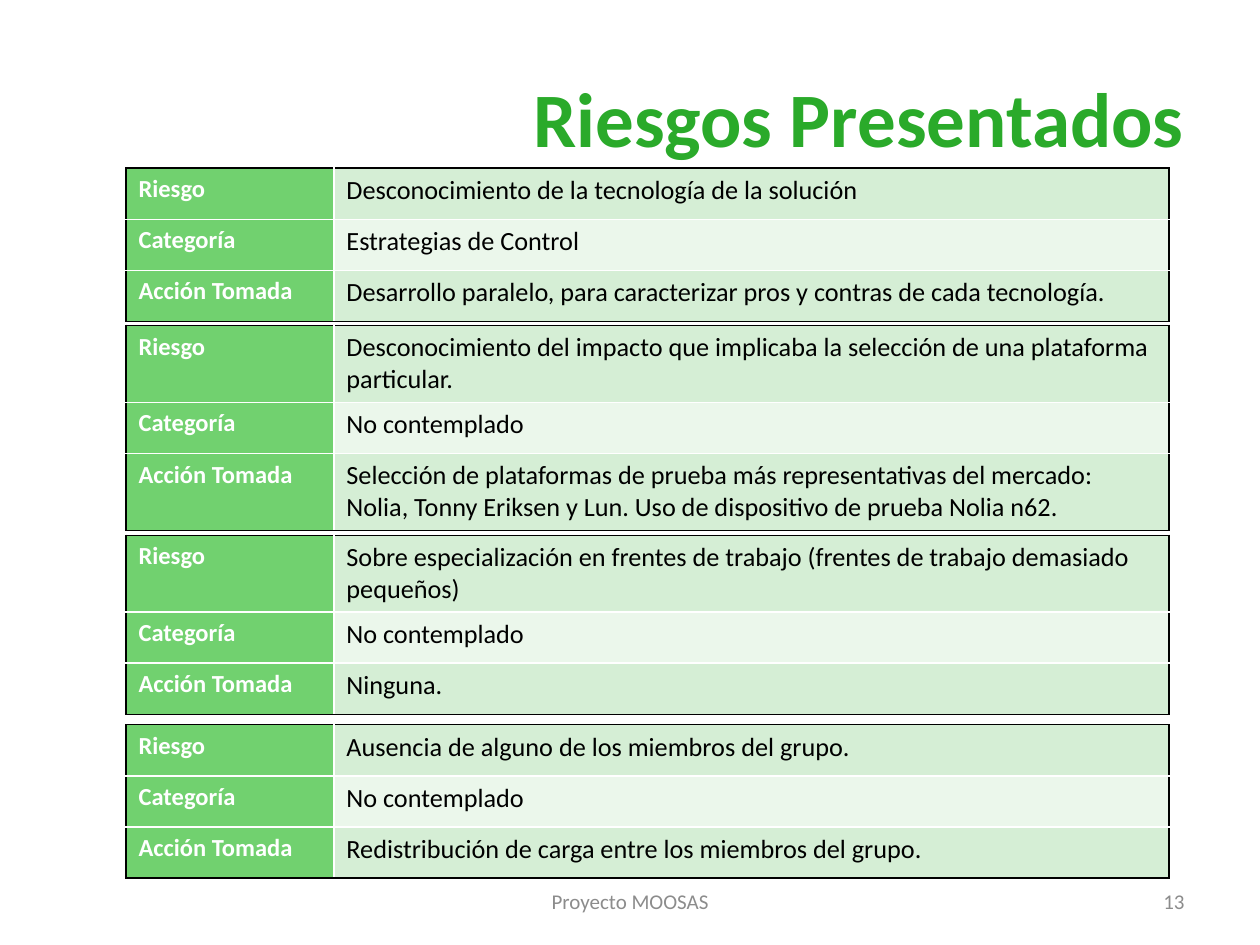
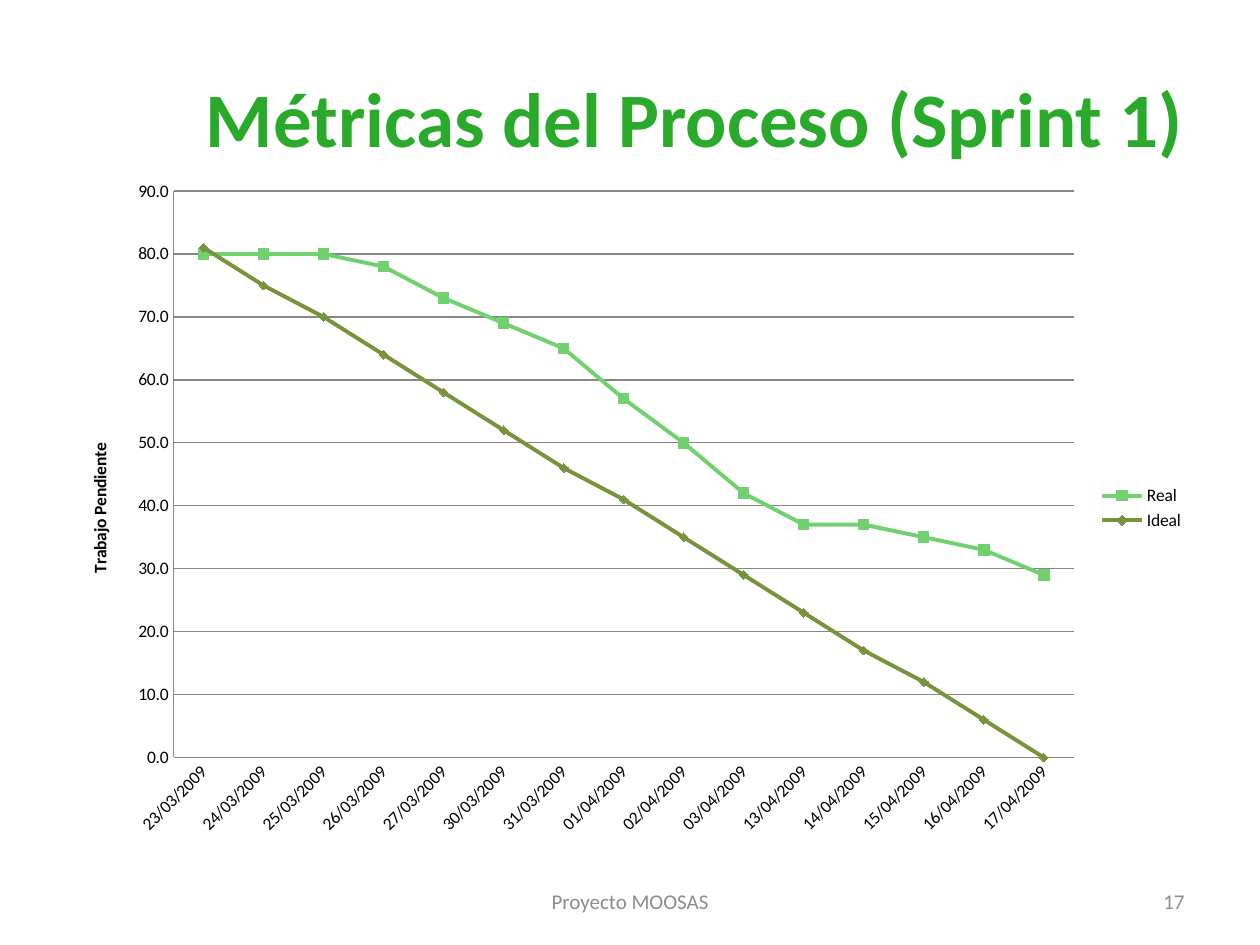
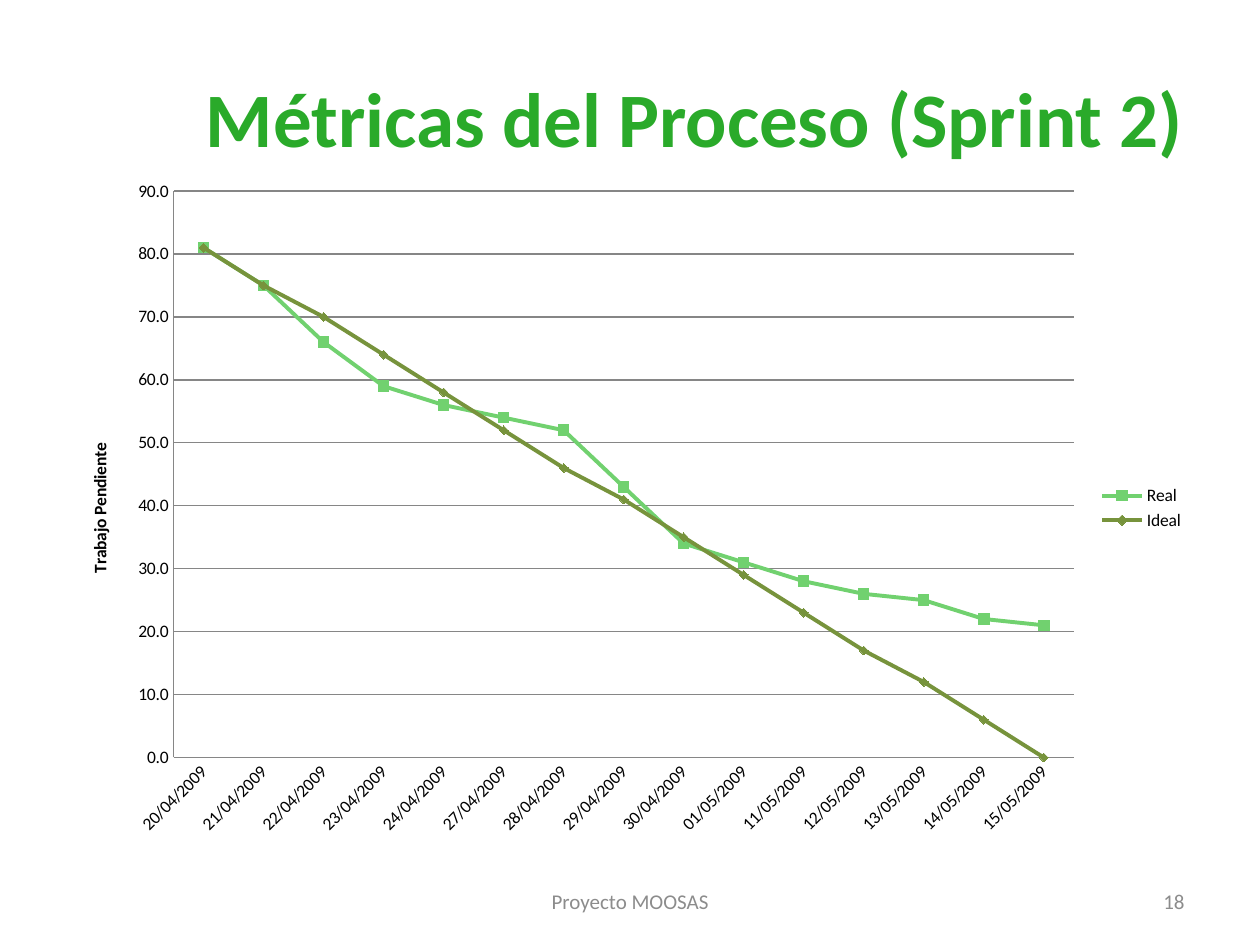
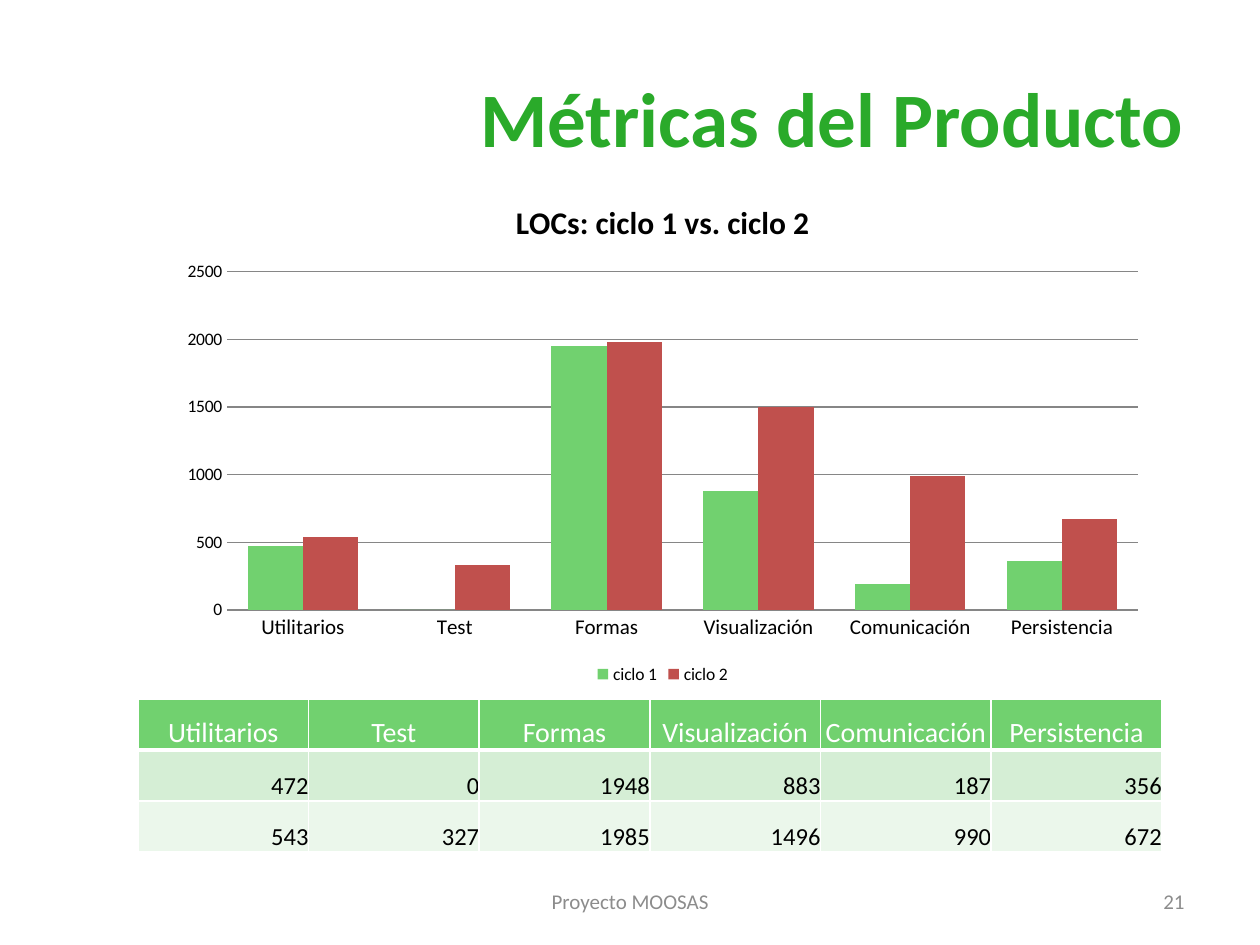
from dataclasses import dataclass

from pptx import Presentation
from pptx.chart.data import CategoryChartData as ChartData
from pptx.dml.color import RGBColor
from pptx.enum.chart import XL_CHART_TYPE as ChartType
from pptx.enum.chart import XL_LEGEND_POSITION as LegendPosition
from pptx.enum.chart import XL_MARKER_STYLE as Marker
from pptx.enum.chart import XL_TICK_MARK as Tick
from pptx.enum.text import MSO_ANCHOR as Anchor
from pptx.enum.text import PP_ALIGN as Align
from pptx.oxml import parse_xml
from pptx.oxml.ns import nsdecls, qn
from pptx.util import Cm, Pt


@dataclass(frozen=True)
class Theme:
    font: str = "Calibri"
    title: str = "2AAA2A"
    footer: str = "8C8C8C"
    green: str = "71D16F"
    olive: str = "77933C"
    red: str = "C0504D"
    bands: tuple = ("D5EED5", "EBF7EB")
    grid: str = "868686"
    black: str = "000000"
    white: str = "FFFFFF"
    title_size: int = 44
    chart_title_size: int = 18
    header_size: int = 16
    body_size: int = 15
    label_size: int = 14
    small_size: int = 12
    chart_size: int = 10


THEME = Theme()
FOOTER = "Proyecto MOOSAS"

RISK_TITLE = "Riesgos Presentados"
RISK_LABELS = ("Riesgo", "Categoría", "Acción Tomada")
RISKS = [
    (3.39, (1.03, 1.03, 1.03), (
        "Desconocimiento de la tecnología de la solución",
        "Estrategias de Control",
        "Desarrollo paralelo, para caracterizar pros y contras de cada tecnología.")),
    (6.56, (1.55, 1.03, 1.55), (
        "Desconocimiento del impacto que implicaba la selección de una plataforma particular.",
        "No contemplado",
        "Selección de plataformas de prueba más representativas del mercado: "
        "Nolia, Tonny Eriksen y Lun. Uso de dispositivo de prueba Nolia n62.")),
    (10.79, (1.55, 1.03, 1.03), (
        "Sobre especialización en frentes de trabajo (frentes de trabajo demasiado pequeños)",
        "No contemplado",
        "Ninguna.")),
    (14.61, (1.03, 1.03, 1.03), (
        "Ausencia de alguno de los miembros del grupo.",
        "No contemplado",
        "Redistribución de carga entre los miembros del grupo.")),
]

DATE_FORMAT = "dd/mm/yyyy"
WORK_DAYS = 5
IDEAL_PACE = 5.8
SPRINTS = [
    ("Métricas del Proceso (Sprint 1)", 17, (39895, 39902, 39916),
     (80, 80, 80, 78, 73, 69, 65, 57, 50, 42, 37, 37, 35, 33, 29)),
    ("Métricas del Proceso (Sprint 2)", 18, (39923, 39930, 39944),
     (81, 75, 66, 59, 56, 54, 52, 43, 34, 31, 28, 26, 25, 22, 21)),
]

PRODUCT_TITLE = "Métricas del Producto"
LOC_TITLE = "LOCs: ciclo 1 vs. ciclo 2"
MODULES = ("Utilitarios", "Test", "Formas", "Visualización", "Comunicación", "Persistencia")
CYCLES = {
    "ciclo 1": (472, 0, 1948, 883, 187, 356),
    "ciclo 2": (543, 327, 1985, 1496, 990, 672),
}


def rgb(color):
    return RGBColor.from_string(color)


def set_font(font, size, color=THEME.black, bold=False):
    font.name = THEME.font
    font.size = Pt(size)
    font.bold = bold
    font.color.rgb = rgb(color)


def write(frame, text, size, color=THEME.black, bold=False, align=Align.LEFT):
    para = frame.paragraphs[0]
    para.alignment = align
    span = para.add_run()
    span.text = text
    set_font(span.font, size, color, bold)


def add_text(page, text, at, **look):
    box = page.shapes.add_textbox(*map(Cm, at))
    box.text_frame.word_wrap = True
    box.text_frame.vertical_anchor = Anchor.MIDDLE
    write(box.text_frame, text, **look)


def add_page(deck, title, number):
    page = deck.slides.add_slide(deck.slide_layouts[6])
    footer = {"size": THEME.small_size, "color": THEME.footer}
    add_text(page, title, (1.27, 0.76, 22.86, 3.18), size=THEME.title_size,
             color=THEME.title, bold=True, align=Align.RIGHT)
    add_text(page, FOOTER, (8.68, 17.65, 8.05, 1.02), align=Align.CENTER, **footer)
    add_text(page, str(number), (18.2, 17.65, 5.93, 1.02), align=Align.RIGHT, **footer)
    return page


def set_borders(cell, borders):
    properties = cell._tc.get_or_add_tcPr()
    for side, (color, width) in zip("LRTB", borders):
        properties.append(parse_xml(
            f'<a:ln{side} {nsdecls("a")} w="{Pt(width)}"><a:solidFill>'
            f'<a:srgbClr val="{color}"/></a:solidFill></a:ln{side}>'))


def add_grid(page, rows, left, top, widths, heights, look, outline, header_rule=1):
    row_count, column_count = len(rows), len(widths)
    frame = page.shapes.add_table(row_count, column_count, Cm(left), Cm(top),
                                  Cm(sum(widths)), Cm(sum(heights)))
    table = frame.table
    table.first_row = table.horz_banding = False
    for column, width in zip(table.columns, widths):
        column.width = Cm(width)
    for row, height in zip(table.rows, heights):
        row.height = Cm(height)
    edge, inner, rule = (outline, 1), (THEME.white, 1), (THEME.white, header_rule)
    for i, texts in enumerate(rows):
        for j, text in enumerate(texts):
            cell = table.cell(i, j)
            set_borders(cell, (
                edge if j == 0 else inner,
                edge if j == column_count - 1 else inner,
                edge if i == 0 else rule if i == 1 else inner,
                edge if i == row_count - 1 else rule if i == 0 else inner))
            fill, text_look = look(i, j)
            cell.fill.solid()
            cell.fill.fore_color.rgb = rgb(fill)
            write(cell.text_frame, str(text), **text_look)
    return table


def risk_look(i, j):
    if j == 0:
        return THEME.green, {"size": THEME.label_size, "color": THEME.white, "bold": True}
    return THEME.bands[i % 2], {"size": THEME.body_size}


def loc_look(i, j):
    if i == 0:
        return THEME.green, {"size": THEME.header_size, "color": THEME.white,
                             "align": Align.CENTER}
    return THEME.bands[(i - 1) % 2], {"size": THEME.label_size, "align": Align.RIGHT}


def set_line(line, color, width=0.75):
    line.color.rgb = rgb(color)
    line.width = Pt(width)


def set_format(labels, number_format):
    labels.number_format = number_format
    labels.number_format_is_linked = False


def add_chart(page, kind, at, categories, series, number_format, top, step, legend,
              category_format="General"):
    data = ChartData(number_format=number_format)
    data.categories = categories
    data.categories.number_format = category_format
    for name, values in series.items():
        data.add_series(name, values)
    chart = page.shapes.add_chart(kind, *map(Cm, at), data).chart
    set_font(chart.font, THEME.chart_size)
    chart.has_title = False
    chart.has_legend = True
    chart.legend.position = legend
    chart.legend.include_in_layout = False
    chart.plots[0].vary_by_categories = False
    values_axis = chart.value_axis
    values_axis.minimum_scale, values_axis.maximum_scale = 0, top
    values_axis.major_unit = step
    set_format(values_axis.tick_labels, number_format)
    set_format(chart.category_axis.tick_labels, category_format)
    set_line(values_axis.major_gridlines.format.line, THEME.grid)
    for axis in (values_axis, chart.category_axis):
        axis.major_tick_mark = axis.minor_tick_mark = Tick.NONE
        set_line(axis.format.line, THEME.grid)
    return chart


def risk_page(deck):
    page = add_page(deck, RISK_TITLE, 13)
    for top, heights, answers in RISKS:
        add_grid(page, list(zip(RISK_LABELS, answers)), 2.54, top, (4.19, 16.84),
                 heights, risk_look, THEME.black)


def sprint_page(deck, title, number, mondays, real):
    page = add_page(deck, title, number)
    dates = [monday + day for monday in mondays for day in range(WORK_DAYS)]
    ideal = [round(IDEAL_PACE * left) for left in reversed(range(len(dates)))]
    chart = add_chart(page, ChartType.LINE_MARKERS, (1.27, 3.38, 22.86, 13.72), dates,
                      {"Real": real, "Ideal": ideal}, "#,##0.0", 90, 10,
                      LegendPosition.RIGHT, DATE_FORMAT)
    write(chart.value_axis.axis_title.text_frame, "Trabajo Pendiente", THEME.chart_size,
          bold=True, align=Align.CENTER)
    date_axis = chart.category_axis
    set_font(date_axis.tick_labels.font, THEME.chart_size)
    date_axis._element.find(qn("c:txPr")).bodyPr.set("rot", "-2700000")
    for auto in date_axis._element.findall(qn("c:auto")):
        auto.set("val", "0")
    styles = ((THEME.green, Marker.SQUARE, 6), (THEME.olive, Marker.DIAMOND, 5))
    for line, (color, marker, size) in zip(chart.plots[0].series, styles):
        line.smooth = False
        set_line(line.format.line, color, 2.25)
        line.marker.style, line.marker.size = marker, size
        line.marker.format.fill.solid()
        line.marker.format.fill.fore_color.rgb = rgb(color)
        set_line(line.marker.format.line, color)


def product_page(deck):
    page = add_page(deck, PRODUCT_TITLE, 21)
    rounded = {name: [round(lines, -1) for lines in counts]
               for name, counts in CYCLES.items()}
    chart = add_chart(page, ChartType.COLUMN_CLUSTERED, (3.38, 3.58, 19.96, 10.31), MODULES,
                      rounded, "General", 2500, 500, LegendPosition.BOTTOM)
    write(chart.chart_title.text_frame, LOC_TITLE, THEME.chart_title_size, bold=True,
          align=Align.CENTER)
    chart.value_axis.format.line.fill.background()
    set_font(chart.category_axis.tick_labels.font, THEME.small_size)
    plot = chart.plots[0]
    plot.gap_width, plot.overlap = 75, 0
    for bars, color in zip(plot.series, (THEME.green, THEME.red)):
        bars.format.fill.solid()
        bars.format.fill.fore_color.rgb = rgb(color)
    table = add_grid(page, [MODULES, *CYCLES.values()], 2.78, 14.09, [3.44] * len(MODULES),
                     [1.03] * 3, loc_look, THEME.white, header_rule=3)
    for cell in table.iter_cells():
        cell.vertical_anchor = Anchor.BOTTOM
        cell.margin_left = cell.margin_right = cell.margin_top = cell.margin_bottom = 0


def main():
    deck = Presentation()
    deck.slide_width, deck.slide_height = Cm(25.4), Cm(19.05)
    risk_page(deck)
    for sprint in SPRINTS:
        sprint_page(deck, *sprint)
    product_page(deck)
    deck.save("out.pptx")


if __name__ == "__main__":
    main()
